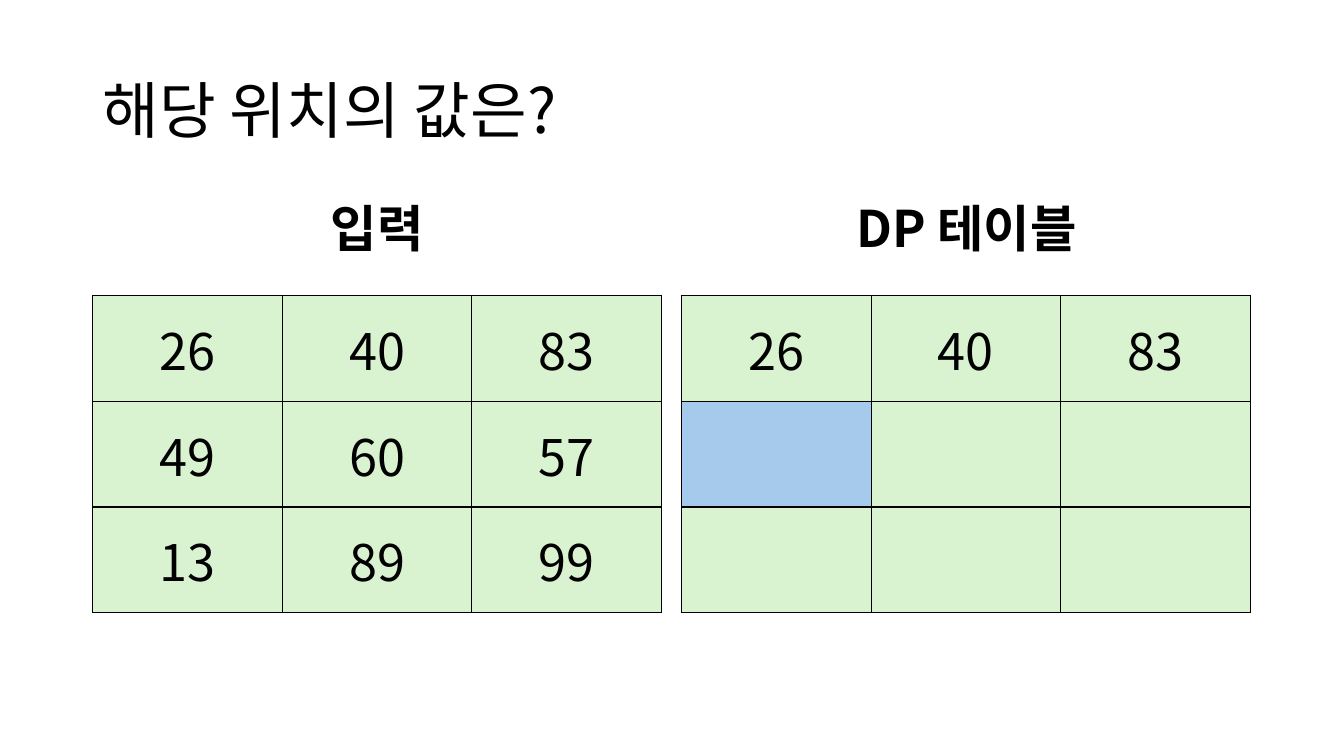
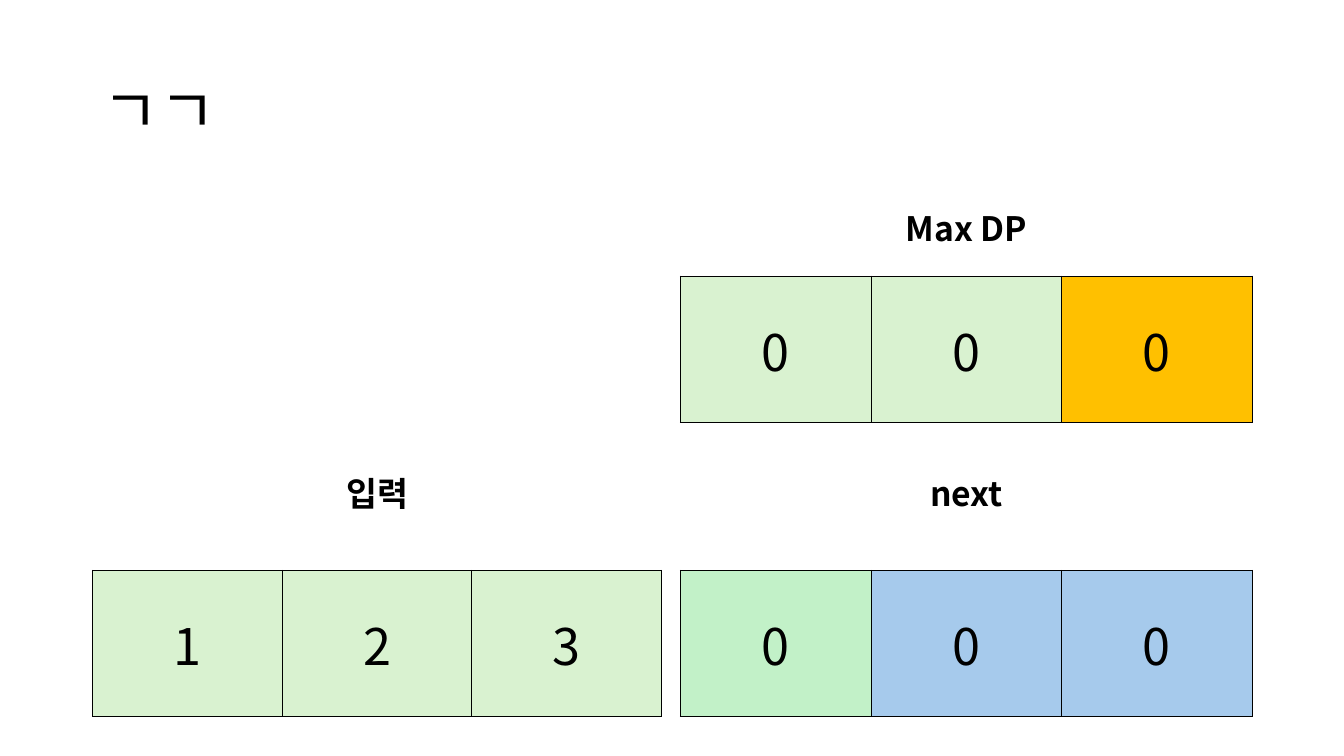
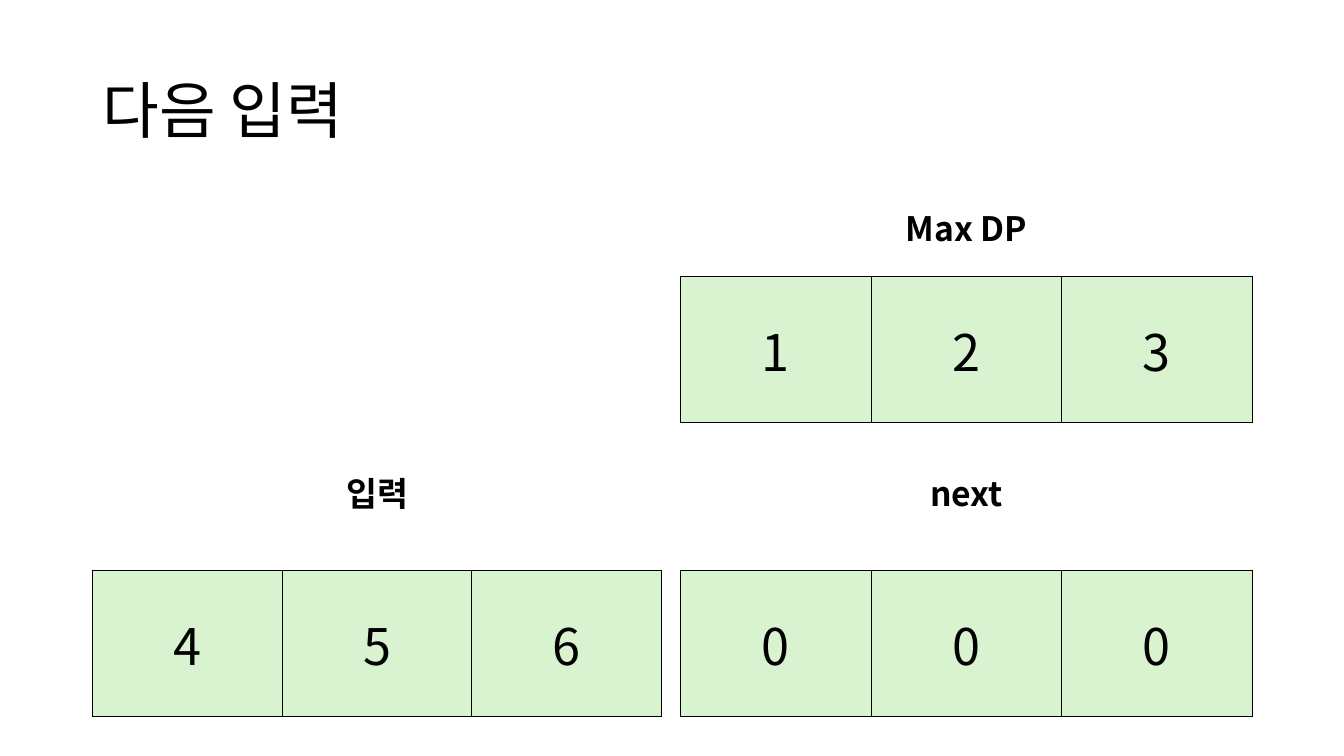
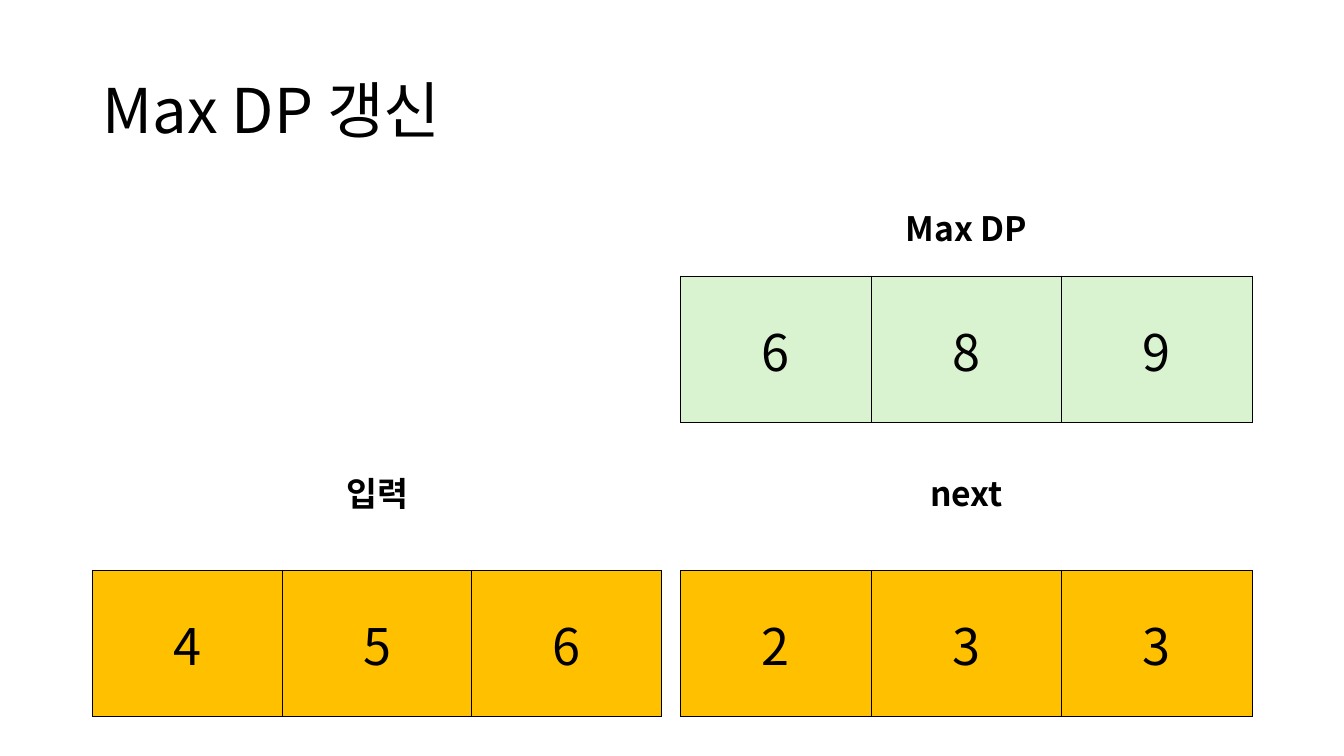
from dataclasses import dataclass

from lxml.etree import SubElement
from pptx import Presentation
from pptx.dml.color import RGBColor as Color
from pptx.enum.text import MSO_ANCHOR as Anchor, PP_ALIGN as Align
from pptx.oxml.ns import qn
from pptx.slide import Slide
from pptx.table import _Cell as Cell
from pptx.text.text import _Paragraph as Para
from pptx.util import Inches, Pt


@dataclass(frozen=True)
class Theme:
    font: str = "Noto Sans CJK KR"
    ink: Color = Color(0x00, 0x00, 0x00)
    green: Color = Color(0xD9, 0xF2, 0xD0)
    mint: Color = Color(0xC2, 0xF1, 0xC8)
    blue: Color = Color(0xA6, 0xCA, 0xEC)
    gold: Color = Color(0xFF, 0xC0, 0x00)
    title: int = 44
    head: int = 36
    label: int = 24
    value: int = 36
    border: int = 1


@dataclass(frozen=True)
class Text:
    text: str
    left: float
    top: float
    width: float
    size: int
    height: float = 0.9
    bold: bool = True
    align: Align = Align.CENTER


@dataclass(frozen=True)
class Grid:
    left: float
    top: float
    col: float
    row: float
    values: list[list[str]]
    fills: list[list[Color]]


@dataclass(frozen=True)
class Step:
    title: str
    best: list[str]
    given: list[str]
    nexts: list[str]
    best_fill: list[Color]
    given_fill: list[Color]
    next_fill: list[Color]


THEME = Theme()
GREEN = [THEME.green] * 3
GOLD = [THEME.gold] * 3
LEFT, RIGHT = 0.92, 6.75
LEFT_COL, RIGHT_COL = 1.88, 1.89
HEAD_TOP, LOW_TOP = 1.84, 4.47

STEPS = [
    Step("ㄱㄱ", ["0", "0", "0"], ["1", "2", "3"], ["0", "0", "0"],
         [THEME.green, THEME.green, THEME.gold], GREEN,
         [THEME.mint, THEME.blue, THEME.blue]),
    Step("다음 입력", ["1", "2", "3"], ["4", "5", "6"], ["0", "0", "0"],
         GREEN, GREEN, GREEN),
    Step("Max DP 갱신", ["6", "8", "9"], ["4", "5", "6"], ["2", "3", "3"],
         GREEN, GOLD, GOLD),
]


def style(para: Para, size: int, bold: bool, align: Align) -> None:
    para.alignment = align
    font = para.font
    font.size = Pt(size)
    font.bold = bold
    font.color.rgb = THEME.ink
    font.name = THEME.font
    props = para._p.pPr.find(qn("a:defRPr"))
    SubElement(props, qn("a:ea"), typeface=THEME.font)


def add_text(slide: Slide, item: Text) -> None:
    box = slide.shapes.add_textbox(
        Inches(item.left), Inches(item.top),
        Inches(item.width), Inches(item.height))
    frame = box.text_frame
    frame.word_wrap = True
    frame.vertical_anchor = Anchor.MIDDLE
    para = frame.paragraphs[0]
    para.text = item.text
    para.line_spacing = 0.9
    style(para, item.size, item.bold, item.align)


def add_title(slide: Slide, text: str) -> None:
    add_text(slide, Text(text, LEFT, 0.4, 11.5, THEME.title, 1.45,
                         False, Align.LEFT))


def outline(cell: Cell) -> None:
    props = cell._tc.get_or_add_tcPr()
    for side in ("lnL", "lnR", "lnT", "lnB"):
        line = SubElement(props, qn(f"a:{side}"), w=str(Pt(THEME.border)))
        fill = SubElement(line, qn("a:solidFill"))
        SubElement(fill, qn("a:srgbClr"), val=str(THEME.ink))


def add_grid(slide: Slide, grid: Grid) -> None:
    rows, cols = len(grid.values), len(grid.values[0])
    table = slide.shapes.add_table(
        rows, cols, Inches(grid.left), Inches(grid.top),
        Inches(grid.col * cols), Inches(grid.row * rows)).table
    table.first_row = False
    table.horz_banding = False
    for y, (texts, fills) in enumerate(zip(grid.values, grid.fills)):
        for x, (text, fill) in enumerate(zip(texts, fills)):
            cell = table.cell(y, x)
            cell.text = text
            cell.vertical_anchor = Anchor.MIDDLE
            outline(cell)
            cell.fill.solid()
            cell.fill.fore_color.rgb = fill
            style(cell.text_frame.paragraphs[0], THEME.value, False,
                  Align.CENTER)


def add_intro(slide: Slide) -> None:
    add_title(slide, "해당 위치의 값은?")
    add_text(slide, Text("입력", LEFT, HEAD_TOP, LEFT_COL * 3, THEME.head))
    add_text(slide, Text("DP 테이블", RIGHT, HEAD_TOP, RIGHT_COL * 3,
                         THEME.head))
    first = ["26", "40", "83"]
    given = [first, ["49", "60", "57"], ["13", "89", "99"]]
    known = [first, [""] * 3, [""] * 3]
    mark = [GREEN, [THEME.blue, THEME.green, THEME.green], GREEN]
    add_grid(slide, Grid(LEFT, 2.93, LEFT_COL, 1.05, given, [GREEN] * 3))
    add_grid(slide, Grid(6.76, 2.93, LEFT_COL, 1.05, known, mark))


def add_step(slide: Slide, step: Step) -> None:
    add_title(slide, step.title)
    panels = [
        ("입력", LEFT, LOW_TOP, 5.66, LEFT_COL, step.given, step.given_fill),
        ("Max DP", RIGHT, HEAD_TOP, 2.74, RIGHT_COL, step.best,
         step.best_fill),
        ("next", RIGHT, LOW_TOP, 5.66, RIGHT_COL, step.nexts,
         step.next_fill),
    ]
    for name, left, head, top, col, values, fills in panels:
        add_text(slide, Text(name, left, head, col * 3, THEME.label))
        add_grid(slide, Grid(left, top, col, 1.45, [values], [fills]))


def main() -> None:
    deck = Presentation()
    deck.slide_width = Inches(13.33)
    deck.slide_height = Inches(7.5)
    blank = deck.slide_layouts[6]
    add_intro(deck.slides.add_slide(blank))
    for step in STEPS:
        add_step(deck.slides.add_slide(blank), step)
    deck.save("out.pptx")


if __name__ == "__main__":
    main()
